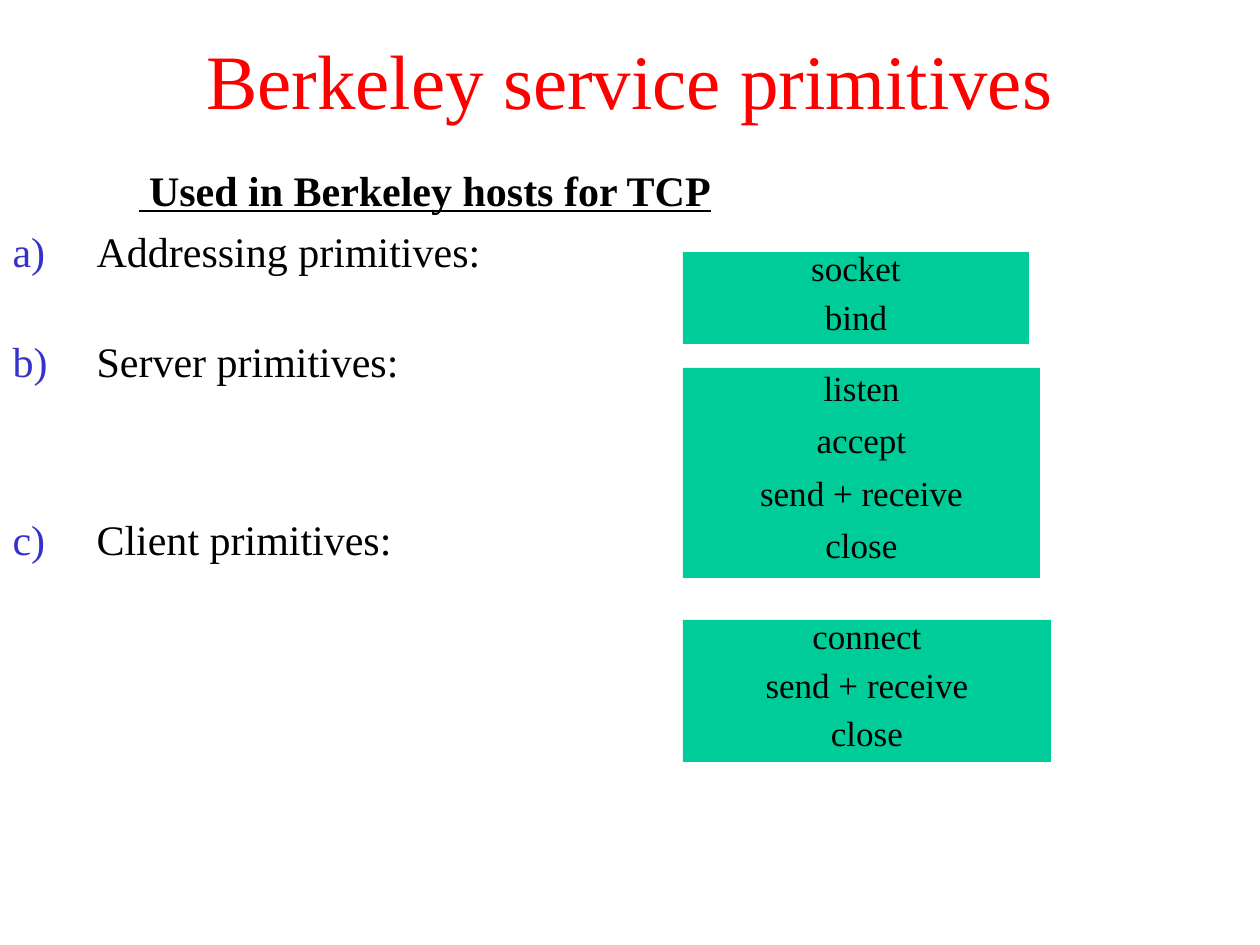
from dataclasses import dataclass

from lxml import etree
from pptx import Presentation
from pptx.dml.color import RGBColor
from pptx.enum.shapes import MSO_SHAPE
from pptx.enum.text import MSO_ANCHOR, MSO_AUTO_SIZE, PP_ALIGN
from pptx.oxml.ns import qn
from pptx.util import Emu, Pt

RECT = MSO_SHAPE.RECTANGLE
TOP, MIDDLE = MSO_ANCHOR.TOP, MSO_ANCHOR.MIDDLE
LEFT, CENTER = PP_ALIGN.LEFT, PP_ALIGN.CENTER
NO_AUTOFIT = MSO_AUTO_SIZE.NONE
EMU_PER_PX = 914400 / 126


@dataclass(frozen=True)
class Theme:
    font: str = "Times New Roman"
    title_color: str = "FF0000"
    text_color: str = "000000"
    number_color: str = "3333CC"
    box_color: str = "00CC99"
    title_size: int = 44
    body_size: int = 24
    box_size: int = 20
    box_gap: float = 10.8


THEME = Theme()

# Label and the space before it in points, leaving room for its box
SECTIONS = [
    ("Addressing primitives:", 6),
    ("Server primitives:", 34),
    ("Client primitives:", 73),
]

BOX_LEFT = 683
# Top, width, height, line spacing, primitives
BOXES = [
    (252, 346, 92, 0.7, ["socket", "bind"]),
    (368, 357, 210, 0.8, ["listen", "accept", "send + receive", "close"]),
    (620, 368, 142, 0.7, ["connect", "send + receive", "close"]),
]


def px(n):
    return Emu(round(n * EMU_PER_PX))


def place(s, left, top, width, height):
    s.left, s.top, s.width, s.height = map(px, (left, top, width, height))


def add_run(p, text, size, color=THEME.text_color):
    r = p.add_run()
    r.text = text
    r.font.name = THEME.font
    r.font.size = Pt(size)
    r.font.color.rgb = RGBColor.from_string(color)
    return r


def add_paragraph(tf, first, align, space_before=0):
    p = tf.paragraphs[0] if first else tf.add_paragraph()
    p.alignment = align
    p.space_before = Pt(0 if first else space_before)
    return p


def set_indent(p, margin, first_line):
    pPr = p._p.get_or_add_pPr()
    pPr.set("marL", str(px(margin)))
    pPr.set("indent", str(px(first_line)))
    return pPr


def number_with_letter(p):
    pPr = set_indent(p, 84, -84)
    color = etree.SubElement(pPr, qn("a:buClr"))
    etree.SubElement(color, qn("a:srgbClr"), val=THEME.number_color)
    etree.SubElement(pPr, qn("a:buFont"), typeface=THEME.font)
    etree.SubElement(pPr, qn("a:buAutoNum"), type="alphaLcParenR")


def fill_title(s, text):
    place(s, 0, 0, 1260, 158)
    tf = s.text_frame
    tf.vertical_anchor = MIDDLE
    tf.auto_size = NO_AUTOFIT
    p = add_paragraph(tf, True, CENTER)
    add_run(p, text, THEME.title_size, THEME.title_color)


def fill_body(s, heading, sections):
    place(s, 0, 158, 1260, 116)
    tf = s.text_frame
    tf.vertical_anchor = TOP
    tf.auto_size = NO_AUTOFIT
    p = add_paragraph(tf, True, LEFT)
    etree.SubElement(set_indent(p, 126, 0), qn("a:buNone"))
    r = add_run(p, heading, THEME.body_size)
    r.font.bold = True
    r.font.underline = True
    for label, gap in sections:
        p = add_paragraph(tf, False, LEFT, gap)
        number_with_letter(p)
        add_run(p, label, THEME.body_size)


def add_primitives_box(slide, top, width, height, line_spacing, primitives):
    s = slide.shapes.add_shape(RECT, *map(px, (BOX_LEFT, top, width, height)))
    s.shadow.inherit = False
    s.fill.solid()
    s.fill.fore_color.rgb = RGBColor.from_string(THEME.box_color)
    s.line.fill.background()
    tf = s.text_frame
    tf.word_wrap = True
    tf.vertical_anchor = TOP
    for i, primitive in enumerate(primitives):
        p = add_paragraph(tf, i == 0, CENTER, THEME.box_gap)
        p.line_spacing = line_spacing
        add_run(p, primitive, THEME.box_size)


def main():
    prs = Presentation()
    prs.slide_width, prs.slide_height = px(1260), px(945)
    slide = prs.slides.add_slide(prs.slide_layouts[1])
    fill_title(slide.shapes.title, "Berkeley service primitives")
    fill_body(slide.placeholders[1], " Used in Berkeley hosts for TCP", SECTIONS)
    for box in BOXES:
        add_primitives_box(slide, *box)
    prs.save("out.pptx")


if __name__ == "__main__":
    main()
